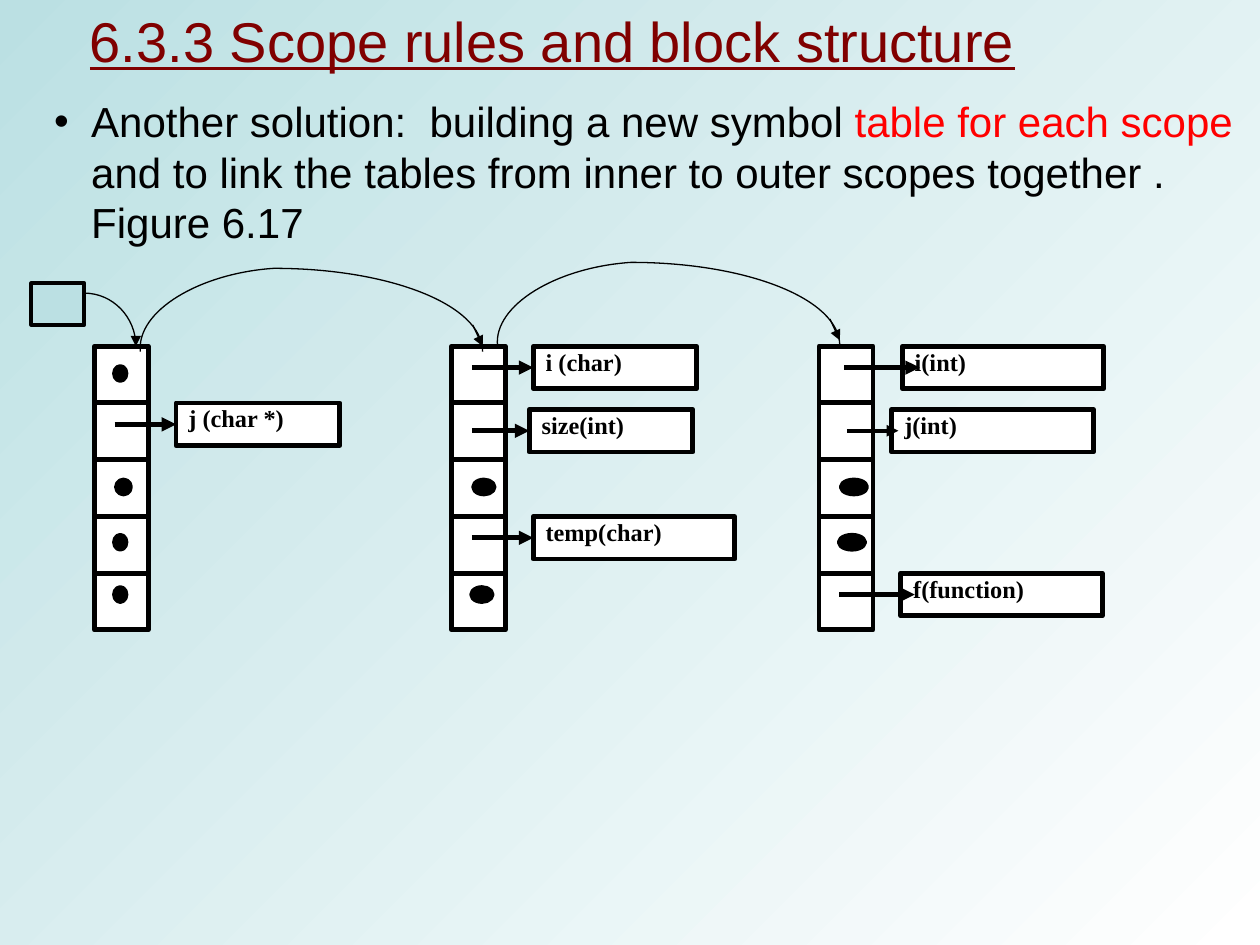
from pptx import Presentation
from pptx.dml.color import RGBColor
from pptx.enum.shapes import MSO_CONNECTOR, MSO_SHAPE
from pptx.enum.text import MSO_ANCHOR, MSO_AUTO_SIZE, PP_ALIGN
from pptx.oxml.ns import qn
from pptx.util import Cm, Pt
from lxml.etree import SubElement

COLORS = {"black": "000000", "white": "FFFFFF", "teal": "BBE0E3",
          "maroon": "800000", "red": "FF0000"}
HEADING_FONT = {"name": "Arial", "size": Pt(32), "underline": True, "bold": False}
BODY_FONT = {"name": "Arial", "size": Pt(24)}
LABEL_FONT = {"name": "Times New Roman", "size": Pt(13.9), "bold": True}
HEADING_FRAME = {"word_wrap": True, "auto_size": MSO_AUTO_SIZE.NONE,
                 "vertical_anchor": MSO_ANCHOR.TOP, "margin_left": Cm(0.57),
                 "margin_right": Cm(0)}
BODY_FRAME = {"word_wrap": True, "vertical_anchor": MSO_ANCHOR.MIDDLE}
LABEL_FRAME = {"word_wrap": True, "vertical_anchor": MSO_ANCHOR.TOP}
LABEL_PARAGRAPH = {"alignment": PP_ALIGN.JUSTIFY, "line_spacing": 0.8}

ROWS = 5
CELL_WIDTH, CELL_HEIGHT = 1.09, 5.72 / ROWS
DOT_HEIGHT, LABEL_HEIGHT = 0.28, 0.86
TABLE_TOP = 6.98
SCOPE_TABLES = [
    {"left": 1.9,
     "dots": [(0, 0.41, 0.41, 0.23), (2, 0.45, 0.41, 0.28),
              (3, 0.41, 0.38, 0.23), (4, 0.41, 0.29, 0.23)],
     "labels": [(1, "j (char *)", 1.65, 0, 3.3, 0.41, None, 2.75)]},
    {"left": 9.1,
     "dots": [(2, 0.45, 0.41, 0.41), (4, 0.41, 0.29, 0.41)],
     "labels": [(0, "i (char)", 1.65, 0, 3.3, 0.41, None, 2.75),
                (1, "size(int)", 1.57, 0.13, 3.3, 0.41, None, 2.75),
                (3, "temp(char)", 1.65, 0, 4.06, 0.41, None, 2.75)]},
    {"left": 16.51,
     "dots": [(2, 0.45, 0.41, 0.51), (3, 0.41, 0.38, 0.51)],
     "labels": [(0, "i(int)", 1.68, 0, 4.06, 0.51, 2.03, 2.75),
                (1, "j(int)", 1.47, 0.13, 4.06, 0.56, 1.6, 2.25),
                (4, "f(function)", 1.65, 0, 4.06, 0.41, 1.93, 2.75)]},
]


def apply_format(target, values):
    """Set every attribute of a format dict on the target."""
    for name, value in values.items():
        setattr(target, name, value)


def color(name):
    """Return the named colour."""
    return RGBColor.from_string(COLORS[name])


def add_run(paragraph, text, font, color_name):
    """Add a formatted run to a paragraph."""
    run = paragraph.add_run()
    run.text = text
    apply_format(run.font, font)
    run.font.color.rgb = color(color_name)


def add_block(shapes, kind, left, top, width, height, fill, weight=2.75):
    """Add a filled, black-outlined preset shape."""
    shape = shapes.add_shape(kind, Cm(left), Cm(top), Cm(width), Cm(height))
    shape.shadow.inherit = False
    shape.fill.solid()
    shape.fill.fore_color.rgb = color(fill)
    shape.line.color.rgb = color("black")
    shape.line.width = Pt(weight)
    return shape


def add_arrow(shapes, start, end, weight, target=None):
    """Add an arrow, joined to the left side of a target if one is given."""
    arrow = shapes.add_connector(MSO_CONNECTOR.STRAIGHT, *map(Cm, start + end))
    if target is not None:
        arrow.end_connect(target, 1)
    arrow.line.color.rgb = color("black")
    arrow.line.width = Pt(weight)
    properties = arrow.line._get_or_add_ln()
    SubElement(properties, qn("a:tailEnd"), type="triangle")
    SubElement(arrow._element.spPr, qn("a:effectLst"))


def add_curve(shapes, left, top, controls):
    """Draw one cubic curve through control points relative to a corner."""
    points = [(Cm(left + x), Cm(top + y)) for x, y in controls]
    builder = shapes.build_freeform(*points[0])
    builder.add_line_segments(points[1:], close=False)
    curve = builder.convert_to_shape()
    outline = next(curve._element.iter(qn("a:path")))
    segments = outline.findall(qn("a:lnTo"))
    bezier = SubElement(outline, qn("a:cubicBezTo"))
    for segment in segments:
        bezier.append(segment[0])
        outline.remove(segment)
    curve.shadow.inherit = False
    curve.fill.background()
    curve.line.color.rgb = color("black")
    curve.line.width = Pt(0.75)


def add_heading(slide, left, top, width, height):
    """Place and format the slide title."""
    title = slide.shapes.title
    apply_format(title, {"left": Cm(left), "top": Cm(top),
                         "width": Cm(width), "height": Cm(height)})
    apply_format(title.text_frame, HEADING_FRAME)
    paragraph = title.text_frame.paragraphs[0]
    paragraph.alignment = PP_ALIGN.LEFT
    add_run(paragraph, "6.3.3 Scope rules and block structure", HEADING_FONT, "maroon")


def add_body(slide, left, top, width, height):
    """Add the bulleted explanation."""
    frame = slide.shapes.add_textbox(Cm(left), Cm(top), Cm(width), Cm(height)).text_frame
    apply_format(frame, BODY_FRAME)
    paragraph = frame.paragraphs[0]
    add_run(paragraph, "Another solution:  building a new symbol ", BODY_FONT, "black")
    add_run(paragraph, "table for each scope ", BODY_FONT, "red")
    add_run(paragraph, "and to link the tables from inner to outer scopes together .",
            BODY_FONT, "black")
    paragraph.add_line_break()
    add_run(paragraph, "Figure 6.17", BODY_FONT, "black")
    properties = paragraph._p.get_or_add_pPr()
    properties.set("marL", str(Cm(0.75)))
    properties.set("indent", str(-Cm(0.75)))
    bullet_color = SubElement(properties, qn("a:buClr"))
    SubElement(bullet_color, qn("a:srgbClr"), val=COLORS["black"])
    SubElement(properties, qn("a:buFont"), typeface="Arial")
    SubElement(properties, qn("a:buChar"), char="•")


def add_scope_table(slide, left, top, dots, labels):
    """Add a symbol table with its empty dots and linked entries."""
    shapes = slide.shapes.add_group_shape().shapes
    for row in range(ROWS):
        add_block(shapes, MSO_SHAPE.RECTANGLE, left, top + row * CELL_HEIGHT,
                  CELL_WIDTH, CELL_HEIGHT, "white")
    for row, x, y, width in dots:
        add_block(shapes, MSO_SHAPE.OVAL, left + x, top + row * CELL_HEIGHT + y,
                  width, DOT_HEIGHT, "black")
    for row, text, x, y, width, start, end, weight in labels:
        label_top = top + row * CELL_HEIGHT + y
        label = add_block(shapes, MSO_SHAPE.RECTANGLE, left + x, label_top,
                          width, LABEL_HEIGHT, "white")
        apply_format(label.text_frame, LABEL_FRAME)
        paragraph = label.text_frame.paragraphs[0]
        apply_format(paragraph, LABEL_PARAGRAPH)
        add_run(paragraph, text, LABEL_FONT, "black")
        middle = label_top + LABEL_HEIGHT / 2
        add_arrow(shapes, (left + start, middle), (left + (end or x), middle),
                  weight, None if end else label)


def add_scope_pointer(slide, left, top):
    """Add the box that points to the innermost table."""
    shapes = slide.shapes.add_group_shape().shapes
    add_block(shapes, MSO_SHAPE.RECTANGLE, left, top, 1.07, 0.84, "teal", 2.25)
    add_curve(shapes, left, top, [(1.07, 0.2), (1.65, 0.2), (2.11, 0.69), (2.11, 1.27)])
    add_arrow(shapes, (left + 2.11, top + 1.07), (left + 2.11, top + 1.27), 0.75)


def add_scope_link(slide, left, top):
    """Add the curved arrow from one table to the next outer one."""
    shapes = slide.shapes.add_group_shape().shapes
    add_curve(shapes, left, top, [(2.77, 0), (1.27, 0.1), (0, 0.86), (0.08, 1.68)])
    add_curve(shapes, left, top, [(2.77, 0), (5.11, 0), (6.98, 0.74), (6.98, 1.68)])
    add_arrow(shapes, (left + 6.78, top + 1.14), (left + 6.98, top + 1.57), 0.75)


def set_background(slide):
    """Fill the background with a diagonal gradient."""
    fill = slide.background.fill
    fill.gradient()
    fill.gradient_angle = 315
    for stop, position, name in zip(fill.gradient_stops, (0, 1), ("teal", "white")):
        stop.position = position
        stop.color.rgb = color(name)


def main():
    """Build and save the presentation."""
    presentation = Presentation()
    apply_format(presentation, {"slide_width": Cm(25.4), "slide_height": Cm(19.05)})
    slide = presentation.slides.add_slide(presentation.slide_layouts[5])
    set_background(slide)
    add_heading(slide, 1.24, 0, 19.79, 1.63)
    add_body(slide, 0.84, 1.7, 24.56, 3.51)
    for table in SCOPE_TABLES:
        add_scope_table(slide, top=TABLE_TOP, **table)
    add_scope_pointer(slide, 0.63, 5.71)
    for left, top in ((2.75, 5.41), (9.95, 5.29)):
        add_scope_link(slide, left, top)
    presentation.save("out.pptx")


if __name__ == "__main__":
    main()
